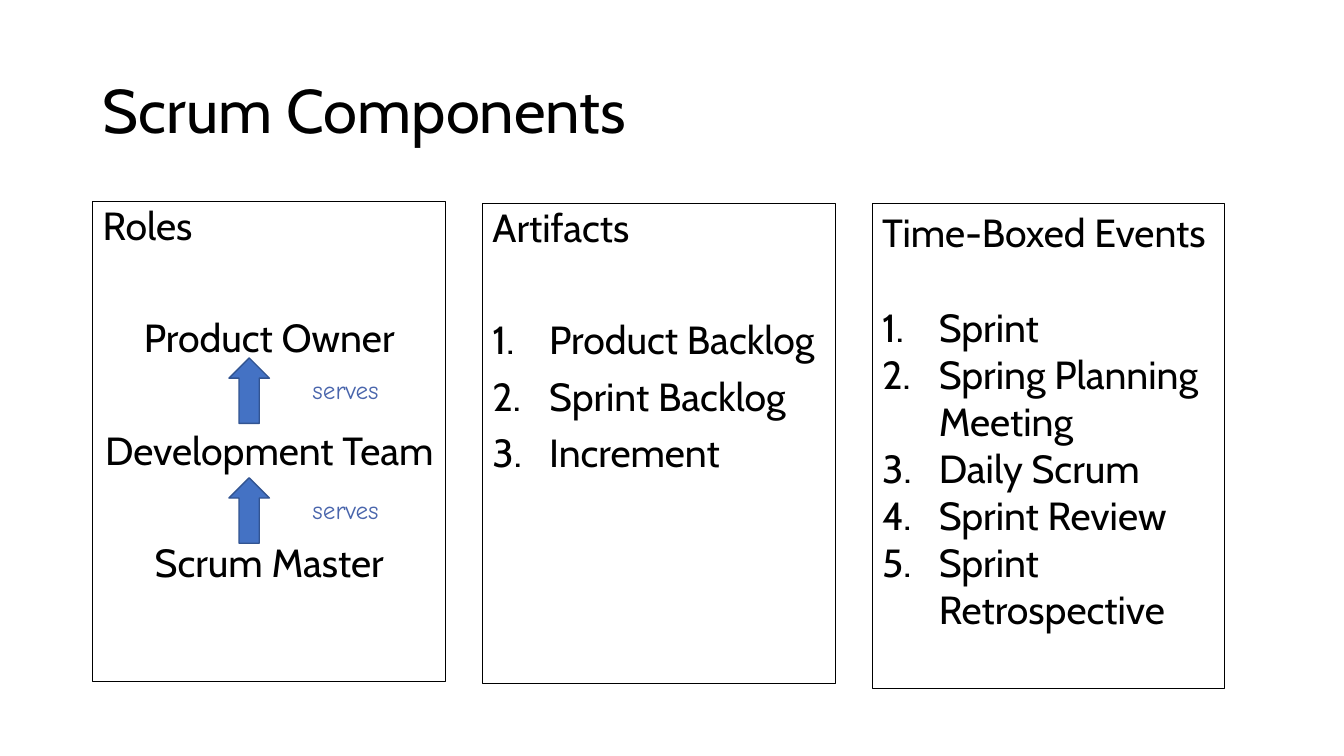
from lxml.etree import SubElement
from pptx import Presentation
from pptx.dml.color import RGBColor
from pptx.enum.shapes import MSO_SHAPE
from pptx.enum.text import MSO_ANCHOR, PP_ALIGN
from pptx.oxml.ns import qn
from pptx.util import Cm, Pt

BLACK = RGBColor(0x00, 0x00, 0x00)
ARROW_BLUE = RGBColor(0x44, 0x72, 0xC4)
ARROW_EDGE = RGBColor(0x32, 0x54, 0x91)
LABEL_BLUE = RGBColor(0x49, 0x65, 0xAC)

ROLES = ["Product Owner", "Development Team", "Scrum Master"]
ARTIFACTS = ["Product Backlog", "Sprint Backlog", "Increment"]
EVENTS = ["Sprint", "Spring Planning Meeting", "Daily Scrum",
          "Sprint Review", "Sprint Retrospective"]

PANEL_LEFT, PANEL_WIDTH, PANEL_PITCH = 2.34, 8.89, 9.82
ARROW_TOP, ARROW_PITCH = 9.02, 3.02


def write(para, text, size=28, font="Cabin", color=BLACK,
          align=PP_ALIGN.LEFT, before=0, line=1.0):
    para.alignment = align
    para.space_before = Pt(before)
    para.line_spacing = line
    span = para.add_run()
    span.text = text
    span.font.size = Pt(size)
    span.font.name = font
    span.font.color.rgb = color


def number(para):
    """Turn the paragraph into an item of a numbered list."""
    properties = para._p.get_or_add_pPr()
    properties.set("marL", str(Cm(1.43)))
    properties.set("indent", str(-Cm(1.43)))
    SubElement(properties, qn("a:buFont"), typeface="Cabin")
    SubElement(properties, qn("a:buAutoNum"), type="arabicPeriod")


def add_title(page, text):
    title = page.shapes.title
    title.left, title.top = Cm(2.34), Cm(1.02)
    title.width, title.height = Cm(29.21), Cm(3.68)
    title.text_frame.word_wrap = True
    title.text_frame.vertical_anchor = MSO_ANCHOR.MIDDLE
    write(title.text_frame.paragraphs[0], text, size=44, line=0.9)


def add_panel(page, column, top, height, heading, items,
              first_gap, gap, numbered=True, line=0.9):
    """Add an outlined column; first_gap separates its heading from the items."""
    left = PANEL_LEFT + column * PANEL_PITCH
    panel = page.shapes.add_shape(MSO_SHAPE.RECTANGLE, Cm(left), Cm(top),
                                  Cm(PANEL_WIDTH), Cm(height))
    panel.shadow.inherit = False
    panel.fill.background()
    panel.line.color.rgb = BLACK
    panel.line.width = Pt(0.75)
    frame = panel.text_frame
    frame.word_wrap = True
    frame.vertical_anchor = MSO_ANCHOR.TOP
    write(frame.paragraphs[0], heading, line=line)
    for index, item in enumerate(items):
        para = frame.add_paragraph()
        if numbered:
            number(para)
        write(para, item, line=line, before=gap if index else first_gap,
              align=PP_ALIGN.LEFT if numbered else PP_ALIGN.CENTER)


def add_label(page, top, text):
    box = page.shapes.add_textbox(Cm(7.34), Cm(top), Cm(2.74), Cm(1.02))
    box.text_frame.word_wrap = True
    write(box.text_frame.paragraphs[0], text, size=18, font="Comic Neue",
          color=LABEL_BLUE, align=PP_ALIGN.CENTER)


def add_up_arrow(page, top):
    arrow = page.shapes.add_shape(MSO_SHAPE.UP_ARROW, Cm(5.77), Cm(top),
                                  Cm(1.02), Cm(1.65))
    arrow.shadow.inherit = False
    arrow.fill.solid()
    arrow.fill.fore_color.rgb = ARROW_BLUE
    arrow.line.color.rgb = ARROW_EDGE
    arrow.line.width = Pt(1)


def main():
    deck = Presentation()
    deck.slide_width, deck.slide_height = Cm(33.87), Cm(19.05)
    page = deck.slides.add_slide(deck.slide_layouts[5])
    add_title(page, "Scrum Components")
    add_panel(page, 0, 5.08, 12.09, "Roles", ROLES,
              first_gap=50, gap=50, numbered=False)
    add_panel(page, 1, 5.13, 12.09, "Artifacts", ARTIFACTS,
              first_gap=50, gap=10)
    add_panel(page, 2, 5.13, 12.22, "Time-Boxed Events", EVENTS,
              first_gap=34, gap=0, line=1.0)
    for step in range(len(ROLES) - 1):
        top = ARROW_TOP + step * ARROW_PITCH
        add_label(page, top + 0.3, "serves")
        add_up_arrow(page, top)
    deck.save("out.pptx")


if __name__ == "__main__":
    main()
